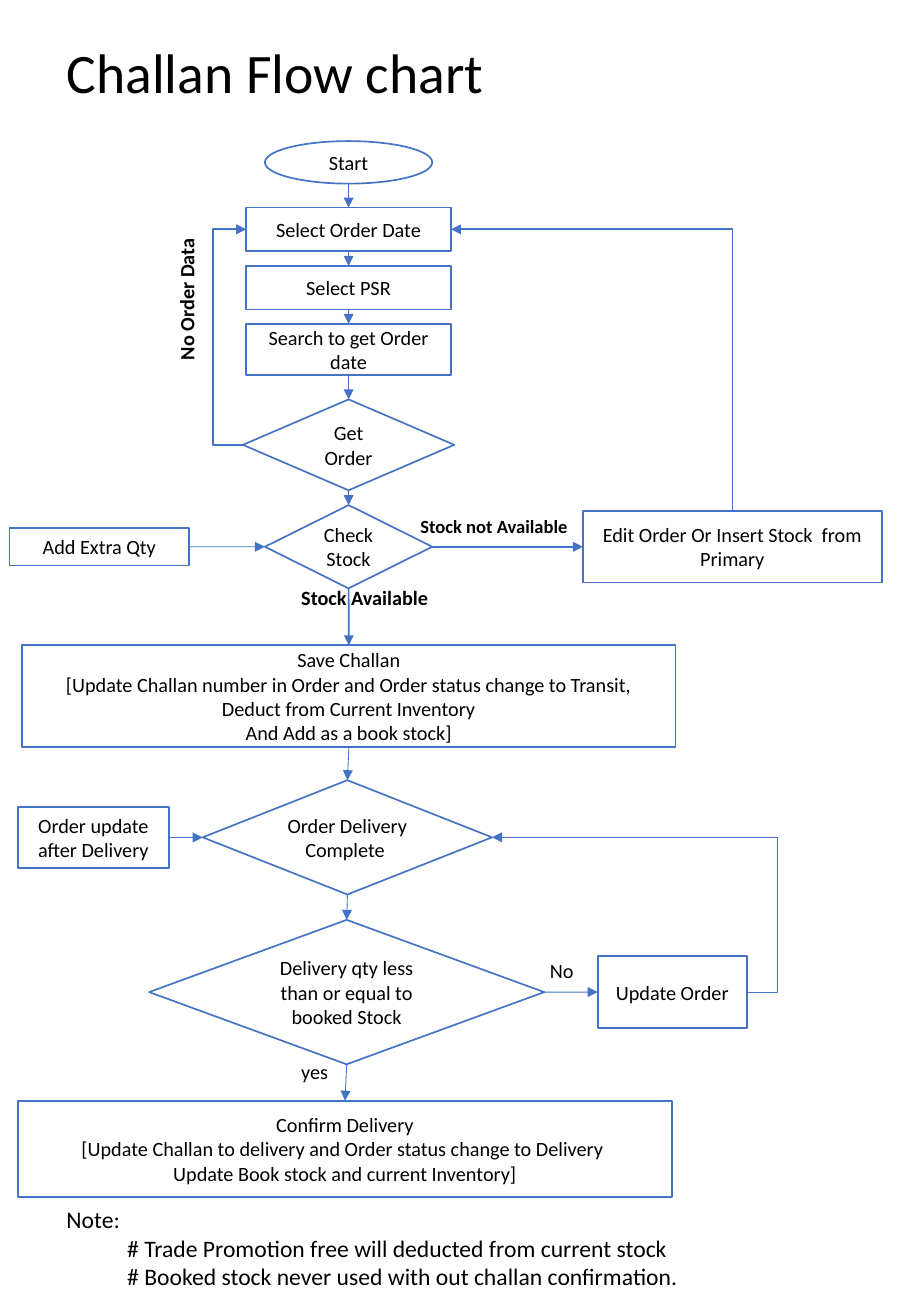
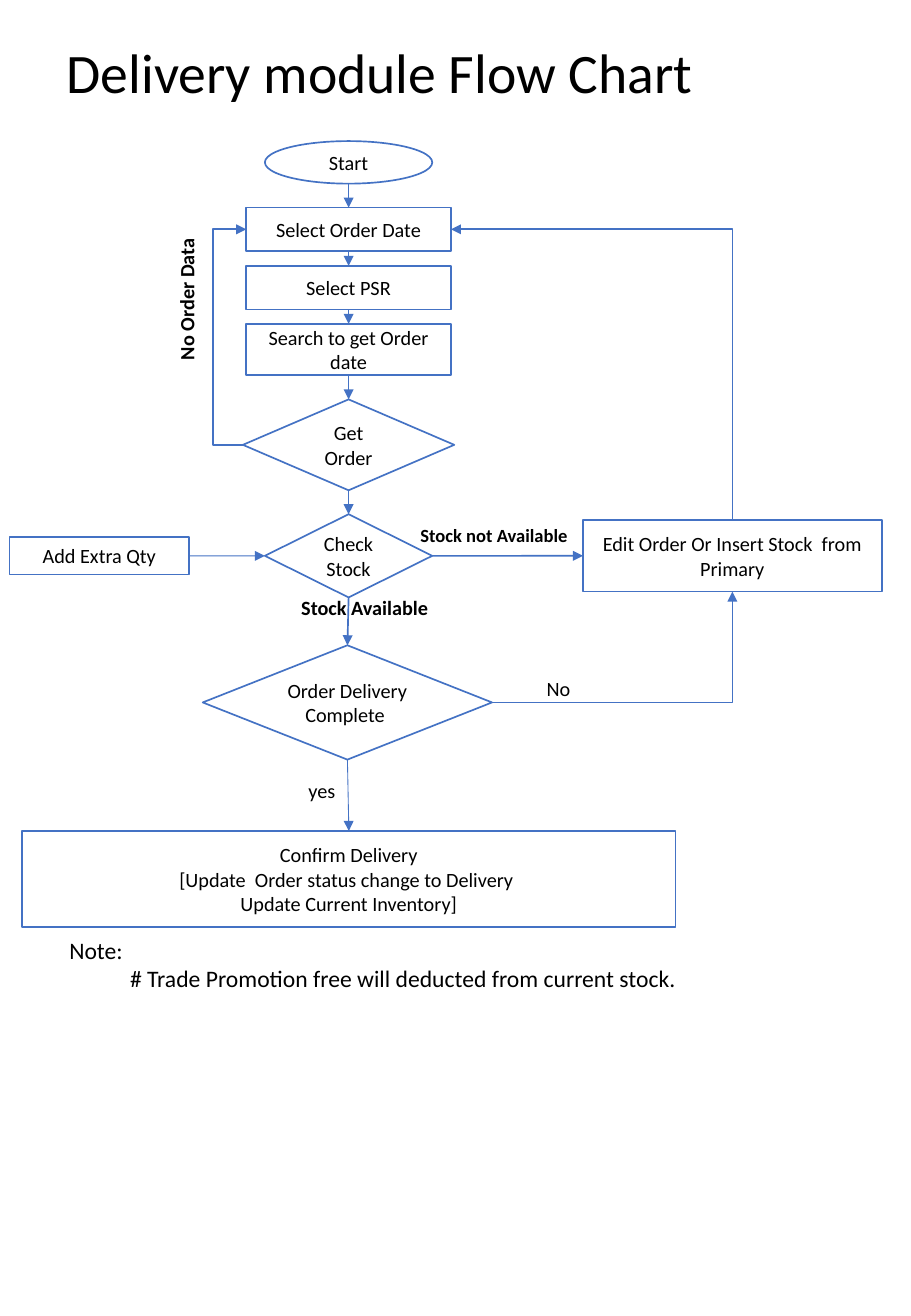
from lxml import etree
from pptx import Presentation
from pptx.dml.color import RGBColor
from pptx.enum.shapes import MSO_CONNECTOR, MSO_SHAPE
from pptx.enum.text import MSO_ANCHOR, MSO_AUTO_SIZE, PP_ALIGN
from pptx.oxml.ns import qn
from pptx.util import Cm, Pt

RECT, OVAL, GEM = MSO_SHAPE.RECTANGLE, MSO_SHAPE.OVAL, MSO_SHAPE.DIAMOND
STRAIGHT, ELBOW = MSO_CONNECTOR.STRAIGHT, MSO_CONNECTOR.ELBOW
LEFT, CENTER = PP_ALIGN.LEFT, PP_ALIGN.CENTER
MIDDLE = MSO_ANCHOR.MIDDLE
FIT = MSO_AUTO_SIZE.SHAPE_TO_FIT_TEXT
TOP, WEST, BASE, EAST = range(4)  # connection sites

FONT = "Calibri"
COLORS = {"text": "000000", "line": "4472C4", "fill": "FFFFFF"}
RGB = {name: RGBColor.from_string(code) for name, code in COLORS.items()}


def style(frame, size, align, bold=False):
    for par in frame.paragraphs:
        par.alignment = align
        for run in par.runs:
            run.font.name = FONT
            run.font.size = Pt(size)
            run.font.bold = bold
            run.font.color.rgb = RGB["text"]


def link(shapes, start, out, end, into, width, bend):
    """Bend is None, "over" (across, then up), "up" (up, then across) or the x of a detour."""
    line = shapes.add_connector(ELBOW if bend else STRAIGHT, 0, 0, 0, 0)
    line.begin_connect(start, out)
    line.end_connect(end, into)
    if start.auto_shape_type == OVAL:  # an ellipse has eight sites
        line.element.xpath(".//a:stCxn")[0].set("idx", str(out * 2))
    line.line.color.rgb = RGB["line"]
    line.line.width = Pt(width)
    tip = etree.SubElement(line.element.xpath(".//a:ln")[0], qn("a:tailEnd"))
    tip.set("type", "triangle")
    etree.SubElement(line.element.spPr, qn("a:effectLst"))
    if not bend:
        return
    geom = line.element.xpath(".//a:prstGeom")[0]
    if bend in ("over", "up"):
        geom.set("prst", "bentConnector2")
    else:
        share = (Cm(bend) - line.begin_x) / (line.end_x - line.begin_x)
        guide = etree.SubElement(geom.find(qn("a:avLst")), qn("a:gd"))
        guide.set("name", "adj1")
        guide.set("fmla", f"val {round(share * 100000)}")
    if bend == "up":  # lay the path on its side, then turn it back
        mid_x = (line.begin_x + line.end_x) // 2
        mid_y = (line.begin_y + line.end_y) // 2
        half_x = (line.end_x - line.begin_x) // 2
        half_y = (line.end_y - line.begin_y) // 2
        line.begin_x, line.begin_y = mid_x - abs(half_y), mid_y + abs(half_x)
        line.end_x, line.end_y = mid_x + abs(half_y), mid_y - abs(half_x)
        line.element.xpath(".//a:xfrm")[0].set("rot", "16200000")


# Parts on both slides: name, shape, left, top, width, height, text
HEAD = [
    ("start", OVAL, 5.54, 2.95, 3.5, 0.89, "Start"),
    ("date", RECT, 5.15, 4.34, 4.28, 0.91, "Select Order Date"),
    ("psr", RECT, 5.15, 5.56, 4.28, 0.91, "Select PSR"),
    ("search", RECT, 5.15, 6.77, 4.28, 1.07, "Search to get Order date"),
    ("get", GEM, 5.08, 8.35, 4.42, 1.9, "Get Order"),
]
STOCK = [
    ("check", GEM, 5.54, 10.56, 3.5, 1.74, "Check Stock"),
    ("edit", RECT, 12.19, 10.68, 6.25, 1.5, "Edit Order Or Insert Stock  from Primary"),
    ("add", RECT, 0.2, 11.04, 3.76, 0.78, "Add Extra Qty"),
]
LINKS = [
    ("start", BASE, "date", TOP, 1, None),
    ("date", BASE, "psr", TOP, 1, None),
    ("psr", BASE, "search", TOP, 1, None),
    ("search", BASE, "get", TOP, 1, None),
    ("get", WEST, "date", WEST, 1, 4.45),
    ("get", BASE, "check", TOP, 1, None),
    ("check", EAST, "edit", WEST, 1, None),
    ("edit", TOP, "date", EAST, 1, "up"),
    ("add", EAST, "check", WEST, 0.5, None),
]
# Labels: left, top, width, height, text, size, bold, turn
SIDE = (2.37, 5.86, 3.07, 0.77, "No Order Data", 12, True, 270)
TAGS = [
    (6.05, 12.12, 3.2, 0.77, "Stock Available", 12, True, 0),
    (8.54, 10.64, 3.63, 0.73, "Stock not Available", 11, True, 0),
]

# Parts of each slide; drop moves the stock row down
PAGES = [
    {
        "title": "Challan Flow chart",
        "drop": 0,
        "boxes": [
            ("save", RECT, 0.46, 13.49, 13.67, 2.13,
             "Save Challan\n"
             "[Update Challan number in Order and Order status change to Transit,\n"
             "Deduct from Current Inventory\n"
             "And Add as a book stock]"),
            ("done", GEM, 4.24, 16.31, 6.05, 2.39, "Order Delivery Complete "),
            ("after", RECT, 0.38, 16.87, 3.15, 1.27, "Order update after Delivery"),
            ("qty", GEM, 3.12, 19.23, 8.26, 3.02,
             "Delivery qty less than or equal to booked Stock"),
            ("update", RECT, 12.5, 19.99, 3.12, 1.5, "Update Order"),
            ("confirm", RECT, 0.38, 23.01, 13.67, 2.01,
             "Confirm Delivery\n"
             "[Update Challan to delivery and Order status change to Delivery \n"
             "Update Book stock and current Inventory]"),
        ],
        "links": [
            ("check", BASE, "save", TOP, 1, None),
            ("save", BASE, "done", TOP, 0.5, None),
            ("after", EAST, "done", WEST, 0.5, None),
            ("done", BASE, "qty", TOP, 0.5, None),
            ("qty", EAST, "update", WEST, 0.5, None),
            ("qty", BASE, "confirm", TOP, 0.5, None),
            ("update", EAST, "done", EAST, 0.5, 16.26),
        ],
        "tags": [
            (11.25, 19.91, 1.02, 0.77, "No", 12, False, 0),
            (6.05, 22.02, 1.09, 0.77, "yes", 12, False, 0),
            (1.14, 25.07, 15, 2.06,
             "Note:\n"
             "# Trade Promotion free will deducted from current stock\n"
             "# Booked stock never used with out challan confirmation.",
             14, False, 0),
        ],
    },
    {
        "title": "Delivery module Flow Chart",
        "drop": 0.19,
        "boxes": [
            ("done", GEM, 4.24, 13.49, 6.05, 2.39, "Order Delivery Complete "),
            ("confirm", RECT, 0.46, 17.37, 13.67, 2.01,
             "Confirm Delivery\n"
             "[Update  Order status change to Delivery \n"
             "Update Current Inventory]"),
        ],
        "links": [
            ("check", BASE, "done", TOP, 1, None),
            ("done", BASE, "confirm", TOP, 0.5, None),
            ("done", EAST, "edit", BASE, 0.5, "over"),
        ],
        "tags": [
            (11.18, 14.02, 1.02, 0.77, "No", 12, False, 0),
            (6.2, 16.15, 1.09, 0.77, "yes", 12, False, 0),
            (1.2, 19.43, 15, 1.45,
             "Note:\n"
             "# Trade Promotion free will deducted from current stock.",
             14, False, 0),
        ],
    },
]

deck = Presentation()
deck.slide_width, deck.slide_height = Cm(19.05), Cm(27.51)

for page in PAGES:
    slide = deck.slides.add_slide(deck.slide_layouts[5])
    shapes = slide.shapes
    drop = page["drop"]

    # Title
    title = shapes.title
    title.left, title.top, title.width, title.height = Cm(1.14), Cm(0.71), Cm(16.38), Cm(1.73)
    title.text_frame.text = page["title"]
    title.text_frame.vertical_anchor = MIDDLE
    title.text_frame.paragraphs[0].line_spacing = 0.9
    style(title.text_frame, 33, LEFT)

    # Boxes
    row = [(name, kind, x, y + drop, w, h, text) for name, kind, x, y, w, h, text in STOCK]
    nodes = {}
    for name, kind, x, y, w, h, text in HEAD + row + page["boxes"]:
        box = shapes.add_shape(kind, Cm(x), Cm(y), Cm(w), Cm(h))
        box.shadow.inherit = False
        box.fill.solid()
        box.fill.fore_color.rgb = RGB["fill"]
        box.line.color.rgb = RGB["line"]
        box.line.width = Pt(1)
        box.text_frame.text = text
        box.text_frame.word_wrap = True
        box.text_frame.vertical_anchor = MIDDLE
        style(box.text_frame, 12, CENTER)
        nodes[name] = box

    # Arrows
    for start, out, end, into, width, bend in LINKS + page["links"]:
        link(shapes, nodes[start], out, nodes[end], into, width, bend)

    # Labels and note; only the note has several lines
    tags = [(x, y + drop, *rest) for x, y, *rest in TAGS]
    for x, y, w, h, text, size, bold, turn in [SIDE] + tags + page["tags"]:
        tag = shapes.add_textbox(Cm(x), Cm(y), Cm(w), Cm(h))
        tag.rotation = turn
        frame = tag.text_frame
        frame.text = text
        frame.word_wrap = "\n" in text
        frame.auto_size = FIT
        style(frame, size, LEFT, bold)
        for par in frame.paragraphs[1:]:
            par._p.get_or_add_pPr().set("marL", str(Cm(1.27)))

deck.save("out.pptx")
